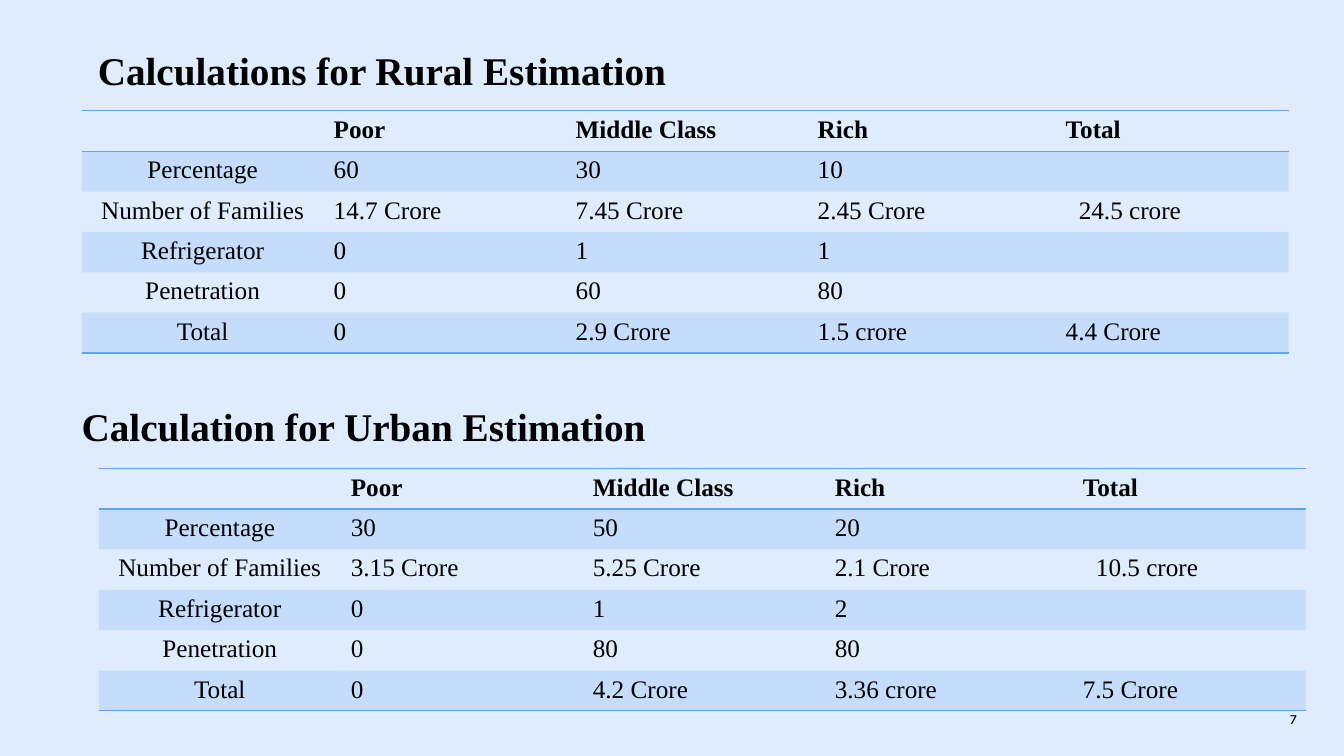
"""Build the slide with the rural and urban refrigerator estimation tables."""
from lxml.etree import SubElement
from pptx import Presentation
from pptx.dml.color import RGBColor
from pptx.enum.text import MSO_ANCHOR, PP_ALIGN
from pptx.oxml.ns import qn
from pptx.util import Inches, Pt

BACKGROUND, ACCENT, INK = "DFECFD", "60A2F5", "000000"
SERIF, SANS = "Times New Roman", "Karla"
PAGE_NUMBER = "7"
NO_GRID_STYLE = "{2D5ABB26-0587-4C30-8999-92F81FD0307C}"
HEADER = ("", "Poor", "Middle Class", "Rich", "Total")
COLUMN_WIDTHS = (2.4, 2.4, 2.4, 2.4, 2.37)
ROW_HEIGHT = 0.4
CELL_INSET, TOTAL_INSET, FAMILIES_TOTAL_INSET = 0.1, 0.16, 0.29

ESTIMATIONS = [
    {
        "title": "Calculations for Rural Estimation",
        "title_at": (0.97, 0.11),
        "table_at": (0.81, 1.1),
        "rows": [
            ("Percentage", "60", "30", "10", ""),
            ("Number of Families", "14.7 Crore", "7.45 Crore", "2.45 Crore", "24.5 crore"),
            ("Refrigerator", "0", "1", "1", ""),
            ("Penetration", "0", "60", "80", ""),
            ("Total", "0", "2.9 Crore", "1.5 crore", "4.4 Crore"),
        ],
    },
    {
        "title": "Calculation for Urban Estimation",
        "title_at": (0.81, 3.65),
        "table_at": (0.98, 4.65),
        "rows": [
            ("Percentage", "30", "50", "20", ""),
            ("Number of Families", "3.15 Crore", "5.25 Crore", "2.1 Crore", "10.5 crore"),
            ("Refrigerator", "0", "1", "2", ""),
            ("Penetration", "0", "80", "80", ""),
            ("Total", "0", "4.2 Crore", "3.36 crore", "7.5 Crore"),
        ],
    },
]


def paint(color_format, color):
    color_format.rgb = RGBColor.from_string(color)


def write(paragraph, text, size, font=SERIF, bold=False):
    run = paragraph.add_run()
    run.text = text
    run.font.size = Pt(size)
    run.font.name = font
    run.font.bold = bold
    paint(run.font.color, INK)


def add_text(slide, place, text, size, font=SERIF, bold=False):
    frame = slide.shapes.add_textbox(*map(Inches, place)).text_frame
    frame.word_wrap = True
    frame.margin_left = frame.margin_right = frame.margin_top = frame.margin_bottom = 0
    write(frame.paragraphs[0], text, size, font, bold)
    return frame


def add_rule(cell, side):
    line = SubElement(cell._tc.get_or_add_tcPr(), qn(f"a:ln{side}"), w=str(Pt(1)))
    fill = SubElement(line, qn("a:solidFill"))
    SubElement(fill, qn("a:srgbClr"), val=ACCENT)


def shade(cell, banded):
    if not banded:
        cell.fill.background()
        return
    cell.fill.solid()
    paint(cell.fill.fore_color, ACCENT)
    for tint in cell._tc.tcPr.findall(f"{qn('a:solidFill')}/{qn('a:srgbClr')}"):
        SubElement(tint, qn("a:alpha"), val="20000")


def fill_cell(cell, text, row, column, last_row):
    for side, ruled in (("T", row == 0), ("B", row in (0, last_row))):
        if ruled:
            add_rule(cell, side)
    shade(cell, row % 2 == 1)
    inset = CELL_INSET
    if column == len(HEADER) - 1:
        inset = FAMILIES_TOTAL_INSET if row == 2 else TOTAL_INSET
    cell.margin_left = Inches(inset)
    if text:
        paragraph = cell.text_frame.paragraphs[0]
        paragraph.alignment = PP_ALIGN.CENTER if column == 0 else PP_ALIGN.LEFT
        write(paragraph, text, 18, bold=row == 0)


def add_estimation(slide, estimation):
    title = add_text(slide, (*estimation["title_at"], 12, 1.16), estimation["title"], 28, bold=True)
    title.paragraphs[0].line_spacing = Pt(58.5)

    rows = [HEADER, *estimation["rows"]]
    size = (sum(COLUMN_WIDTHS), ROW_HEIGHT * len(rows))
    frame = slide.shapes.add_table(
        len(rows), len(HEADER), *map(Inches, (*estimation["table_at"], *size)))
    for style in frame._element.iter(qn("a:tableStyleId")):
        style.text = NO_GRID_STYLE
    table = frame.table
    table.first_row = table.horz_banding = False
    for column, width in zip(table.columns, COLUMN_WIDTHS):
        column.width = Inches(width)
    for r, texts in enumerate(rows):
        table.rows[r].height = Inches(ROW_HEIGHT)
        for c, text in enumerate(texts):
            fill_cell(table.cell(r, c), text, r, c, len(rows) - 1)


def main():
    deck = Presentation()
    deck.slide_width, deck.slide_height = Inches(13.33), Inches(7.5)
    slide = deck.slides.add_slide(deck.slide_layouts[6])
    slide.background.fill.solid()
    paint(slide.background.fill.fore_color, BACKGROUND)
    for estimation in ESTIMATIONS:
        add_estimation(slide, estimation)
    page = add_text(slide, (11.94, 6.98, 0.92, 0.31), PAGE_NUMBER, 10, SANS)
    page.vertical_anchor = MSO_ANCHOR.MIDDLE
    page.paragraphs[0].alignment = PP_ALIGN.RIGHT
    deck.save("out.pptx")


if __name__ == "__main__":
    main()
